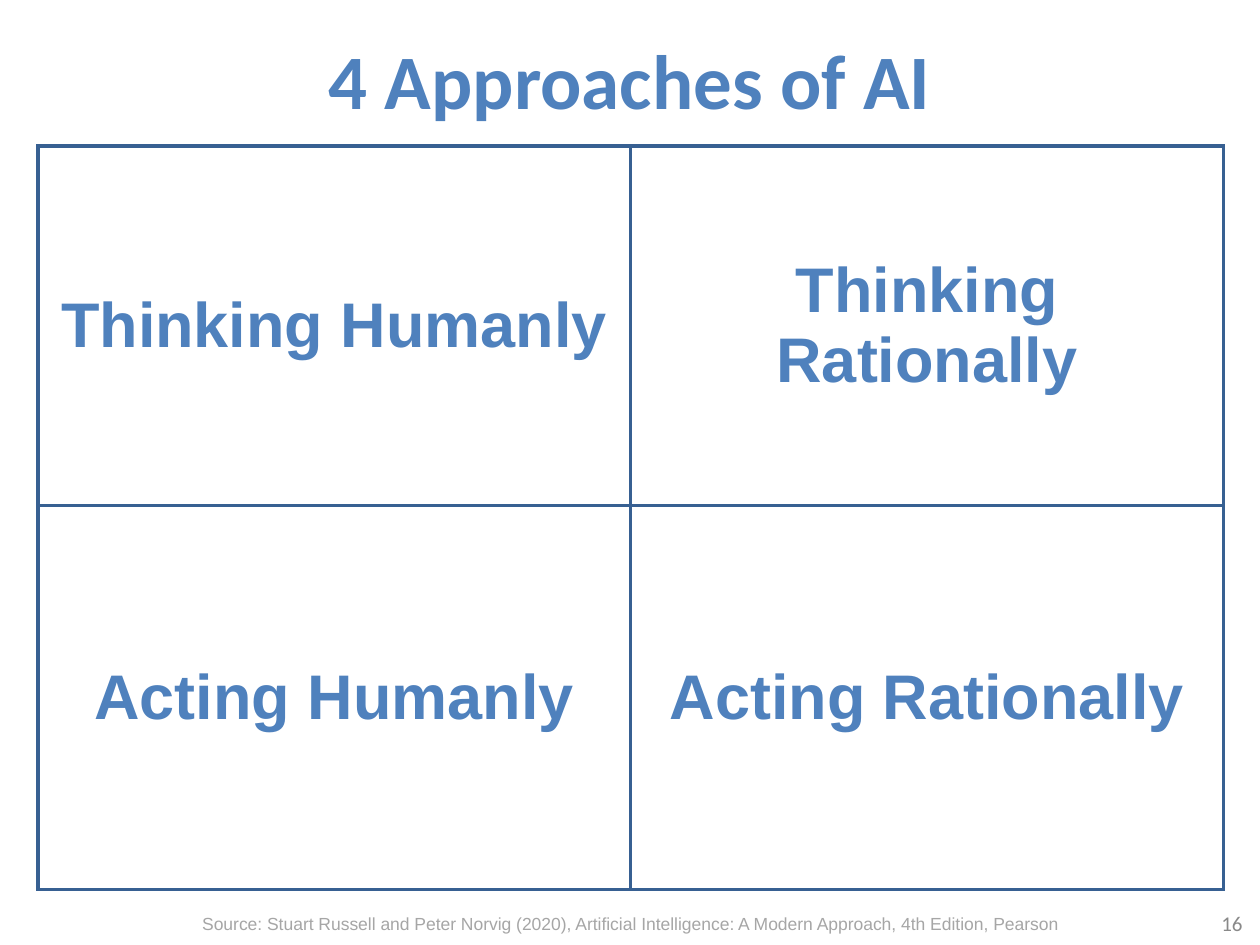
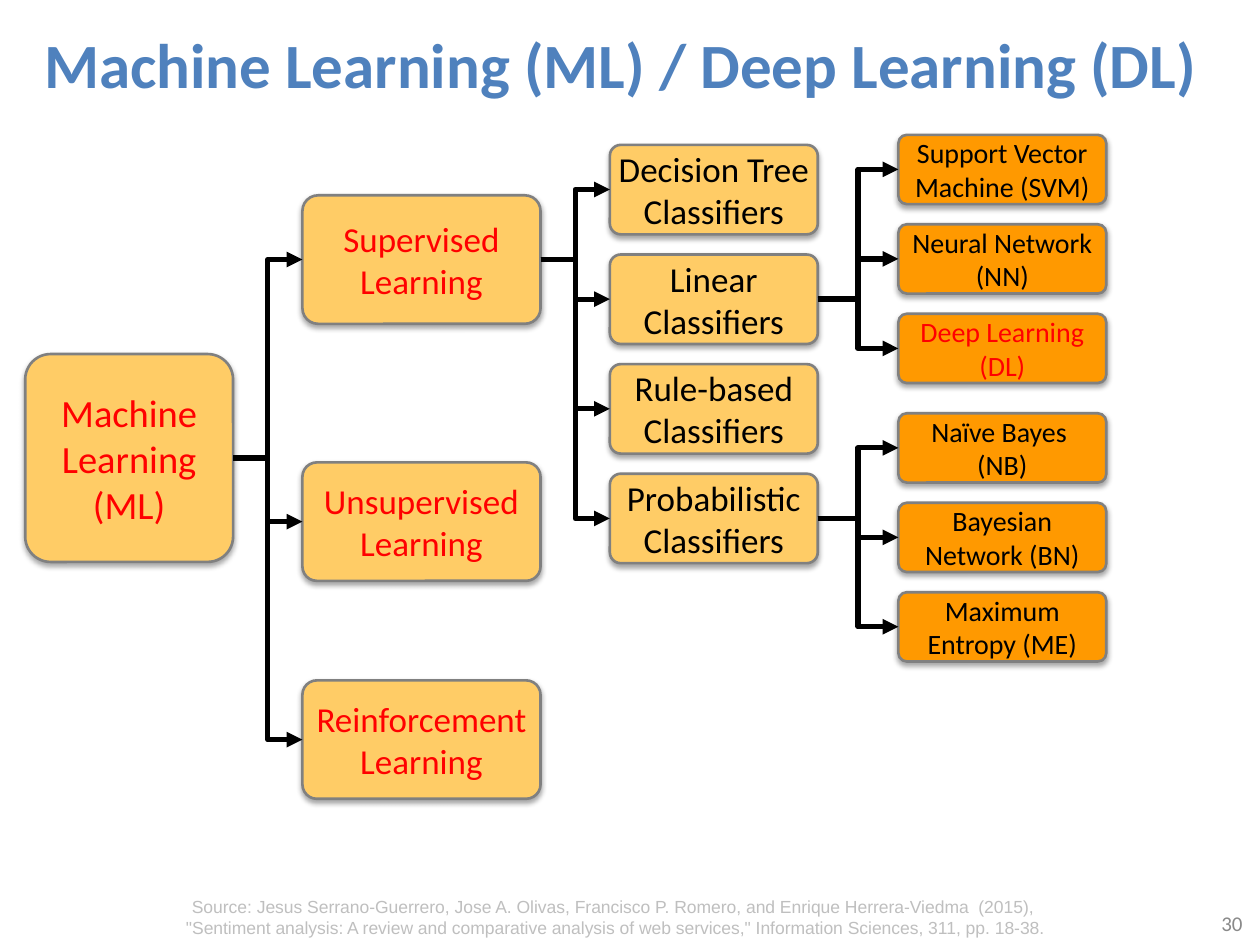
from dataclasses import dataclass

from lxml import etree
from pptx import Presentation
from pptx.dml.color import RGBColor
from pptx.enum.shapes import MSO_CONNECTOR, MSO_SHAPE
from pptx.enum.text import MSO_ANCHOR, MSO_AUTO_SIZE, PP_ALIGN
from pptx.oxml import parse_xml
from pptx.oxml.ns import nsdecls, qn
from pptx.util import Inches, Pt

ELBOW = MSO_CONNECTOR.ELBOW
ROUNDED = MSO_SHAPE.ROUNDED_RECTANGLE
MIDDLE, TOP = MSO_ANCHOR.MIDDLE, MSO_ANCHOR.TOP
CENTER, RIGHT = PP_ALIGN.CENTER, PP_ALIGN.RIGHT
FIXED = MSO_AUTO_SIZE.NONE
LEFT_SITE, RIGHT_SITE = 1, 3

APPROACHES = {
    "title": "4 Approaches of AI",
    "title_box": (0.5, 0.13, 9, 0.99),
    "title_size": 44,
    "number": "16",
    "source": "Source: Stuart Russell and Peter Norvig (2020), Artificial Intelligence: "
              "A Modern Approach, 4th Edition, Pearson",
    "source_box": (1.18, 7.2, 7.64, 0.27),
    "source_color": "A6A6A6",
}
QUADRANTS = [
    ["Thinking Humanly", "Thinking Rationally"],
    ["Acting Humanly", "Acting Rationally"],
]
QUADRANT_BOX = (0.3, 1.16, 9.41, 5.9)
QUADRANT_HEIGHTS = (2.85, 3.05)

TAXONOMY = {
    "title": "Machine Learning (ML) / Deep Learning (DL)",
    "title_box": (0.2, 0.09, 9.45, 0.83),
    "title_size": 36,
    "number": "30",
    "source": "Source: Jesus Serrano-Guerrero, Jose A. Olivas, Francisco P. Romero, "
              "and Enrique Herrera-Viedma  (2015), \v\"Sentiment analysis: A review and "
              "comparative analysis of web services,\" Information Sciences, 311, pp. 18-38.",
    "source_box": (0.59, 7.06, 8.58, 0.44),
    "source_color": "BFBFBF",
}
ROOT = "Machine Learning\n(ML)"
SUPERVISED = "Supervised Learning"
LINEAR = "Linear Classifiers"
PROBABILISTIC = "Probabilistic Classifiers"
DEEP = "Deep Learning (DL)"
UNSUPERVISED = "Unsupervised Learning"
REINFORCEMENT = "Reinforcement Learning"
HIGHLIGHTED = {ROOT, SUPERVISED, UNSUPERVISED, REINFORCEMENT, DEEP}

LEVELS = [
    {"left": 0.2, "width": 1.65, "fill": "FFCC66", "size": 22},
    {"left": 2.4, "width": 1.89, "fill": "FFCC66", "size": 20},
    {"left": 4.84, "width": 1.65, "fill": "FFCC66", "size": 20},
    {"left": 7.13, "width": 1.65, "fill": "FF9900", "size": 16},
]
FAMILIES = [
    {"parent": None, "level": 0, "top": 2.81, "height": 1.65, "pitch": 0,
     "members": [ROOT]},
    {"parent": ROOT, "level": 1, "top": 1.55, "height": 1.02, "pitch": 0,
     "members": [SUPERVISED]},
    {"parent": ROOT, "level": 1, "top": 3.67, "height": 0.94, "pitch": 1.73,
     "members": [UNSUPERVISED, REINFORCEMENT]},
    {"parent": SUPERVISED, "level": 2, "top": 1.15, "height": 0.71, "pitch": 0.87,
     "members": ["Decision Tree Classifiers", LINEAR, "Rule-based Classifiers",
                 PROBABILISTIC]},
    {"parent": LINEAR, "level": 3, "top": 1.07, "height": 0.55, "pitch": 0.71,
     "members": ["Support Vector Machine (SVM)", "Neural Network (NN)", DEEP]},
    {"parent": PROBABILISTIC, "level": 3, "top": 3.28, "height": 0.55, "pitch": 0.71,
     "members": ["Naïve Bayes \v(NB)", "Bayesian Network (BN)",
                 "Maximum Entropy (ME)"]},
]


@dataclass(frozen=True)
class Theme:
    heading_font: str = "Calibri"
    body_font: str = "Arial"
    blue: str = "4F81BD"
    grid: str = "376092"
    number: str = "898989"
    outline: str = "808080"
    ink: str = "000000"
    highlight: str = "FF0000"
    quadrant_size: int = 36
    number_size: int = 12
    source_size: int = 10
    grid_width: float = 2.25
    outline_width: float = 1.5
    arrow_width: float = 3
    corner: float = 0.122
    number_box: tuple = (7.63, 7.13, 2.33, 0.4)


THEME = Theme()


def inches(box):
    return [Inches(value) for value in box]


def apply(target, values):
    for name, value in values.items():
        setattr(target, name, value)


def write(frame, text, font, size, color, bold=False, align=CENTER):
    frame.text = text
    for paragraph in frame.paragraphs:
        paragraph.alignment = align
        apply(paragraph.font, {"name": font, "size": Pt(size), "bold": bold})
        paragraph.font.color.rgb = RGBColor.from_string(color)


def add_note(slide, box, anchor, *style, **options):
    frame = slide.shapes.add_textbox(*inches(box)).text_frame
    apply(frame, {"word_wrap": True, "vertical_anchor": anchor})
    write(frame, *style, **options)


def add_titled_slide(deck, content):
    slide = deck.slides.add_slide(deck.slide_layouts[5])
    title = slide.shapes.title
    apply(title, dict(zip(("left", "top", "width", "height"),
                          inches(content["title_box"]))))
    apply(title.text_frame, {"word_wrap": True, "vertical_anchor": MIDDLE,
                             "auto_size": FIXED})
    write(title.text_frame, content["title"], THEME.heading_font,
          content["title_size"], THEME.blue, bold=True)
    add_note(slide, THEME.number_box, MIDDLE, content["number"], THEME.heading_font,
             THEME.number_size, THEME.number, align=RIGHT)
    add_note(slide, content["source_box"], TOP, content["source"], THEME.body_font,
             THEME.source_size, content["source_color"])
    return slide


def add_borders(cell):
    properties = cell._tc.get_or_add_tcPr()
    for side in ("lnL", "lnR", "lnT", "lnB"):
        properties.append(parse_xml(
            f'<a:{side} {nsdecls("a")} w="{Pt(THEME.grid_width)}"><a:solidFill>'
            f'<a:srgbClr val="{THEME.grid}"/></a:solidFill></a:{side}>'))


def add_quadrants(slide):
    table = slide.shapes.add_table(len(QUADRANTS), len(QUADRANTS[0]),
                                   *inches(QUADRANT_BOX)).table
    apply(table, {"first_row": False, "horz_banding": False})
    for row, height, labels in zip(table.rows, QUADRANT_HEIGHTS, QUADRANTS):
        row.height = Inches(height)
        for cell, label in zip(row.cells, labels):
            write(cell.text_frame, label, THEME.body_font, THEME.quadrant_size,
                  THEME.blue, bold=True)
            cell.vertical_anchor = MIDDLE
            add_borders(cell)
            cell.fill.background()


def add_soft_shadow(shape):
    shape.shadow.inherit = False
    effects = shape._element.spPr.find(qn("a:effectLst"))
    effects.append(parse_xml(
        f'<a:outerShdw {nsdecls("a")} blurRad="{Pt(3.1)}" dist="{Pt(1.8)}" '
        'dir="5400000" rotWithShape="0"><a:srgbClr val="000000">'
        '<a:alpha val="35000"/></a:srgbClr></a:outerShdw>'))


def add_node(slide, label, level, top, height):
    node = slide.shapes.add_shape(
        ROUNDED, *inches((level["left"], top, level["width"], height)))
    node.adjustments[0] = THEME.corner
    node.fill.solid()
    node.fill.fore_color.rgb = RGBColor.from_string(level["fill"])
    node.line.color.rgb = RGBColor.from_string(THEME.outline)
    node.line.width = Pt(THEME.outline_width)
    add_soft_shadow(node)
    apply(node.text_frame, {"word_wrap": True, "vertical_anchor": MIDDLE,
                            "margin_left": 0, "margin_right": 0,
                            "margin_top": 0, "margin_bottom": 0})
    color = THEME.highlight if label in HIGHLIGHTED else THEME.ink
    write(node.text_frame, label, THEME.heading_font, level["size"], color)
    return node


def add_arrow(slide, parent, child):
    arrow = slide.shapes.add_connector(ELBOW, 0, 0, 0, 0)
    arrow.begin_connect(parent, RIGHT_SITE)
    arrow.end_connect(child, LEFT_SITE)
    arrow.line.color.rgb = RGBColor.from_string(THEME.ink)
    arrow.line.width = Pt(THEME.arrow_width)
    properties = arrow._element.spPr
    etree.SubElement(properties.find(qn("a:ln")), qn("a:tailEnd"), type="triangle")
    etree.SubElement(properties, qn("a:effectLst"))


def add_taxonomy(slide):
    nodes = {}
    for family in FAMILIES:
        for index, label in enumerate(family["members"]):
            nodes[label] = add_node(slide, label, LEVELS[family["level"]],
                                    family["top"] + index * family["pitch"],
                                    family["height"])
            if family["parent"]:
                add_arrow(slide, nodes[family["parent"]], nodes[label])


def main():
    deck = Presentation()
    apply(deck, {"slide_width": Inches(10), "slide_height": Inches(7.5)})
    add_quadrants(add_titled_slide(deck, APPROACHES))
    add_taxonomy(add_titled_slide(deck, TAXONOMY))
    deck.save("out.pptx")


if __name__ == "__main__":
    main()
